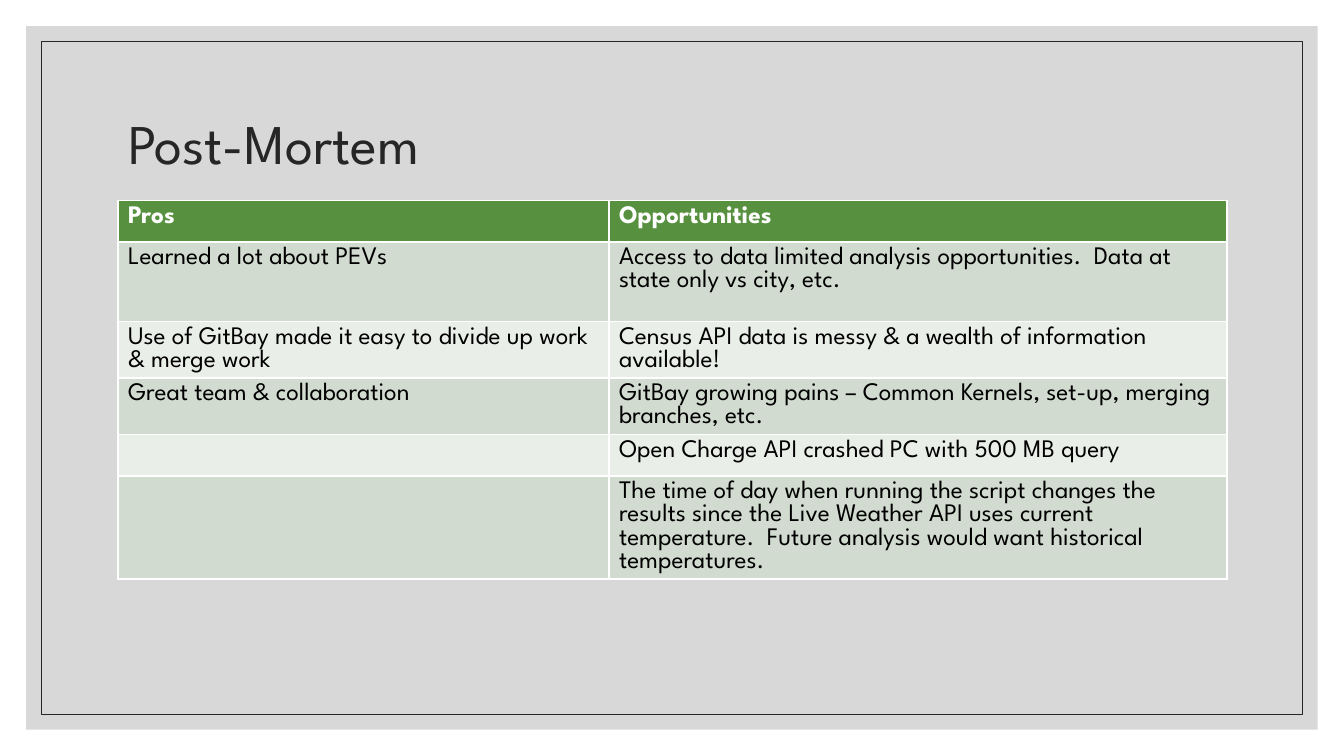
from pptx import Presentation
from pptx import util as u
from pptx.dml.color import RGBColor
from pptx.enum import shapes, text
from pptx.oxml.ns import qn
from lxml import etree

FONT = "League Spartan"
COLORS = {
    "frame": "BFBFBF", "ink": "262626", "header": "57903F",
    "odd": "D1DBCF", "even": "EAEEE8", "white": "FFFFFF", "black": "000000",
}
ROWS = [
    ("Pros", "Opportunities"),
    ("Learned a lot about PEVs",
     "Access to data limited analysis opportunities.  Data at state only vs city, etc."),
    ("Use of GitBay made it easy to divide up work & merge work",
     "Census API data is messy & a wealth of information available!"),
    ("Great team & collaboration",
     "GitBay growing pains – Common Kernels, set-up, merging branches, etc."),
    ("", "Open Charge API crashed PC with 500 MB query"),
    ("", "The time of day when running the script changes the results since the "
         "Live Weather API uses current temperature.  Future analysis would want "
         "historical temperatures."),
]
ROW_HEIGHTS = [0.41, 0.79, 0.56, 0.56, 0.41, 1.02]
COL_WIDTHS = [4.87, 6.13]
LEFT, WIDTH = 1.17, sum(COL_WIDTHS)


def color(name):
    return RGBColor.from_string(COLORS[name])


def style(p, size, name, bold=False):
    p.font.name, p.font.size, p.font.bold = FONT, u.Pt(size), bold
    p.font.color.rgb = color(name)


prs = Presentation()
prs.slide_width, prs.slide_height = u.Inches(13.33), u.Inches(7.5)
s = prs.slides.add_slide(prs.slide_layouts[5])

# Grey panel and thin inner frame, equal margins on all sides
panel, frame = [
    s.shapes.add_shape(shapes.MSO_SHAPE.RECTANGLE, u.Inches(m), u.Inches(m),
                       prs.slide_width - 2 * u.Inches(m),
                       prs.slide_height - 2 * u.Inches(m))
    for m in (0.26, 0.41)
]
panel.shadow.inherit = frame.shadow.inherit = False
panel.fill.solid()
panel.fill.fore_color.rgb = color("frame")
panel.line.fill.background()
rgb = panel.fill._xPr.find(".//" + qn("a:srgbClr"))
etree.SubElement(rgb, qn("a:alpha")).set("val", "60000")
frame.fill.background()
frame.line.color.rgb = color("ink")
frame.line.width = u.Pt(0.5)

# Title, brought in front of the panel
title = s.shapes.title
s.shapes._spTree.append(title._element)
title.left, title.top = u.Inches(LEFT), u.Inches(0.7)
title.width, title.height = u.Inches(WIDTH), u.Inches(1.5)
tf = title.text_frame
tf.text = "Post-Mortem"
tf.word_wrap = True
tf.vertical_anchor = text.MSO_ANCHOR.MIDDLE
p = tf.paragraphs[0]
p.alignment = text.PP_ALIGN.LEFT
p.line_spacing = 0.9
style(p, 40, "ink")

# Table of pros and opportunities
table = s.shapes.add_table(len(ROWS), len(COL_WIDTHS), u.Inches(LEFT), u.Inches(1.99),
                           u.Inches(WIDTH), u.Inches(sum(ROW_HEIGHTS))).table
for column, width in zip(table.columns, COL_WIDTHS):
    column.width = u.Inches(width)
for i, (row, height, words) in enumerate(zip(table.rows, ROW_HEIGHTS, ROWS)):
    row.height = u.Inches(height)
    fill = "header" if i == 0 else "odd" if i % 2 else "even"
    for cell, word in zip(row.cells, words):
        cell.fill.solid()
        cell.fill.fore_color.rgb = color(fill)
        cell.text = word
        style(cell.text_frame.paragraphs[0], 18, "black" if i else "white", i == 0)

prs.save("out.pptx")
